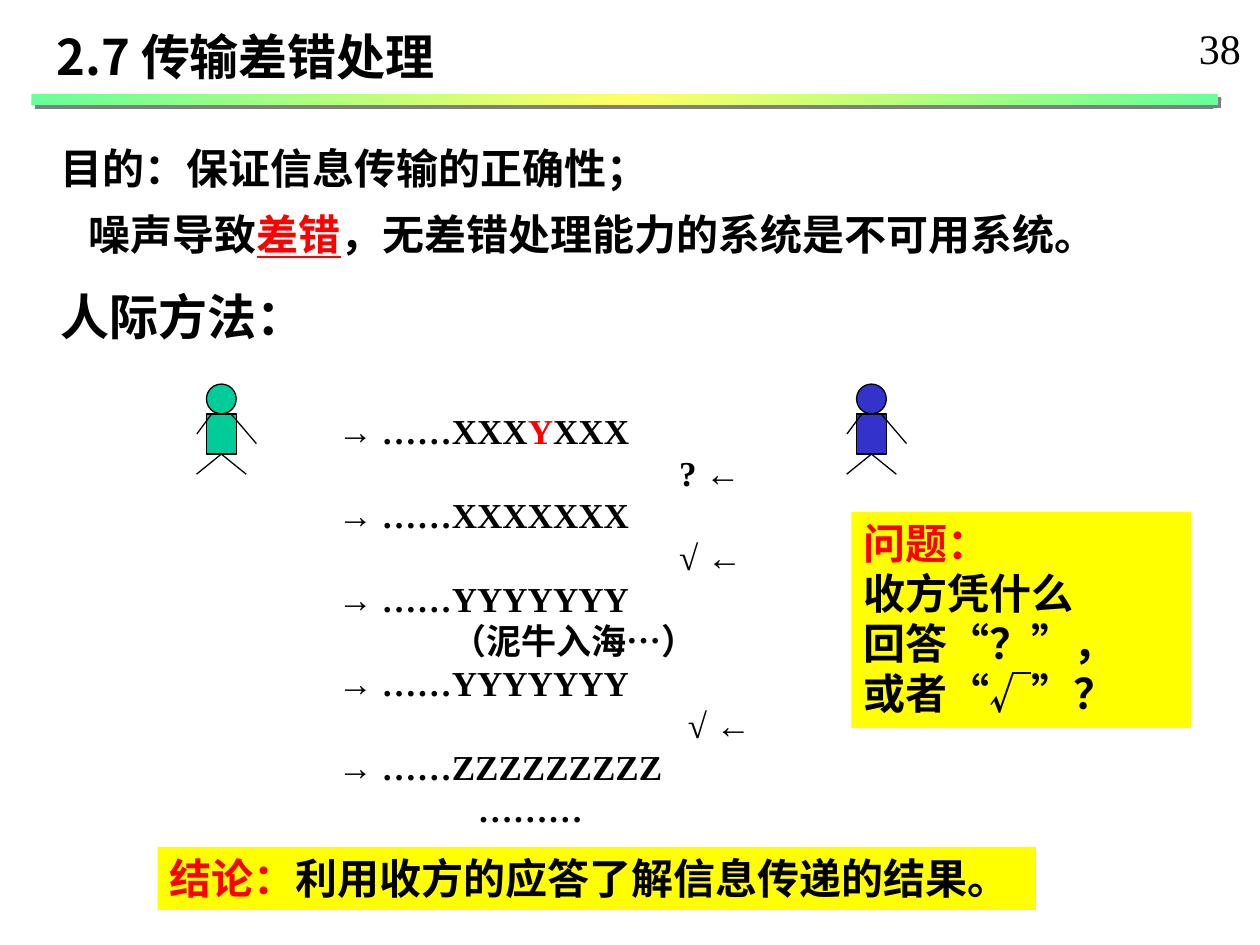
from copy import deepcopy
from dataclasses import dataclass
from typing import Optional

from lxml.etree import SubElement
from pptx import Presentation
from pptx.dml.color import RGBColor
from pptx.enum.shapes import MSO_CONNECTOR, MSO_SHAPE
from pptx.enum.text import MSO_ANCHOR, MSO_AUTO_SIZE, PP_ALIGN
from pptx.oxml.ns import qn
from pptx.util import Pt

BLACK = RGBColor(0x00, 0x00, 0x00)
RED = RGBColor(0xFF, 0x00, 0x00)
YELLOW = RGBColor(0xFF, 0xFF, 0x00)
MINT = RGBColor(0x66, 0xFF, 0x99)
LEMON = RGBColor(0xFF, 0xFF, 0x66)
TEAL = RGBColor(0x00, 0xCC, 0x99)
BLUE = RGBColor(0x33, 0x33, 0xCC)
SANS = "Noto Sans CJK SC"
SERIF = "Times New Roman"


@dataclass(frozen=True)
class Span:
    text: str
    color: Optional[RGBColor] = None
    underline: bool = False


@dataclass(frozen=True)
class Line:
    spans: tuple[Span, ...]
    size: float = 24
    indent: float = 0
    pitch: float = 28.6
    before: float = 0
    after: float = 0
    font: str = SERIF
    bold: bool = True


@dataclass(frozen=True)
class Person:
    left: float
    top: float
    color: RGBColor


def place(shape, left: float, top: float, width: float, height: float) -> None:
    shape.left, shape.top = Pt(left), Pt(top)
    shape.width, shape.height = Pt(width), Pt(height)


def write(shape, lines: list[Line], wrap: bool = True) -> None:
    frame = shape.text_frame
    frame.word_wrap = wrap
    frame.auto_size = MSO_AUTO_SIZE.NONE
    frame.vertical_anchor = MSO_ANCHOR.TOP
    for index, line in enumerate(lines):
        paragraph = frame.add_paragraph() if index else frame.paragraphs[0]
        paragraph.alignment = PP_ALIGN.LEFT
        paragraph.line_spacing = Pt(line.pitch)
        paragraph.space_before = Pt(line.before)
        paragraph.space_after = Pt(line.after)
        properties = paragraph._p.get_or_add_pPr()
        properties.set("marL", str(Pt(line.indent)))
        properties.set("indent", "0")
        SubElement(properties, qn("a:buNone"))
        font = paragraph.font
        font.name = line.font
        font.size = Pt(line.size)
        font.bold = line.bold
        font.color.rgb = BLACK
        SubElement(font._element, qn("a:ea")).set("typeface", SANS)
        for span in line.spans:
            run = paragraph.add_run()
            run.text = span.text
            if span.color is not None:
                run.font.color.rgb = span.color
            if span.underline:
                run.font.underline = True


def add_bar(slide) -> None:
    bar = slide.shapes.add_shape(MSO_SHAPE.RECTANGLE, Pt(18), Pt(54), Pt(678), Pt(6))
    bar.line.fill.background()
    bar.fill.gradient()
    bar.fill.gradient_angle = 315
    start, end = bar.fill.gradient_stops
    start.color.rgb, end.color.rgb = MINT, MINT
    start.position, end.position = 0, 1
    stops = bar._element.spPr.find(qn("a:gradFill")).find(qn("a:gsLst"))
    stops.insert(1, deepcopy(stops[0]))
    middle = bar.fill.gradient_stops[1]
    middle.position = 0.5
    middle.color.rgb = LEMON
    effects = SubElement(bar._element.spPr, qn("a:effectLst"))
    shadow = SubElement(effects, qn("a:outerShdw"), dist=str(Pt(2.8)),
                        dir="2700000", algn="ctr", rotWithShape="0")
    SubElement(shadow, qn("a:srgbClr"), val="808080")


def add_person(slide, person: Person) -> None:
    group = slide.shapes.add_group_shape()
    size, torso_height = 17, 23
    shoulder = person.top + size
    hip = shoulder + torso_height

    def add_part(kind, top: float, height: float):
        part = group.shapes.add_shape(kind, Pt(person.left), Pt(top), Pt(size), Pt(height))
        part.shadow.inherit = False
        part.fill.solid()
        part.fill.fore_color.rgb = person.color
        part.line.color.rgb = BLACK
        part.line.width = Pt(0.75)
        return part

    def add_limb(x1: float, y1: float, x2: float, y2: float):
        limb = group.shapes.add_connector(
            MSO_CONNECTOR.STRAIGHT, Pt(person.left + x1), Pt(y1), Pt(person.left + x2), Pt(y2))
        limb.line.color.rgb = BLACK
        limb.line.width = Pt(0.75)
        SubElement(limb._element.spPr, qn("a:effectLst"))
        return limb

    add_part(MSO_SHAPE.OVAL, person.top, size)
    torso = add_part(MSO_SHAPE.RECTANGLE, shoulder, torso_height)
    add_limb(14, shoulder, 28.5, shoulder + 17)
    add_limb(3, shoulder, -5.5, shoulder + 11.5)
    for reach in (14.2, -14.2):
        leg = add_limb(size / 2, hip, size / 2 + reach, hip + 11.5)
        leg.begin_connect(torso, 2)


def add_note(slide, left: float, top: float, width: float, height: float,
             lines: list[Line], wrap: bool = True) -> None:
    note = slide.shapes.add_shape(MSO_SHAPE.RECTANGLE, Pt(left), Pt(top), Pt(width), Pt(height))
    note.shadow.inherit = False
    note.fill.solid()
    note.fill.fore_color.rgb = YELLOW
    note.line.fill.background()
    write(note, lines, wrap)


def spoken(*spans: Span, indent: float = 0) -> Line:
    return Line(spans, size=20, indent=indent, pitch=24)


def main() -> None:
    deck = Presentation()
    deck.slide_width, deck.slide_height = Pt(720), Pt(540)
    slide = deck.slides.add_slide(deck.slide_layouts[1])
    add_bar(slide)

    page = slide.shapes.add_textbox(Pt(678), Pt(9.5), Pt(44.5), Pt(36))
    write(page, [Line((Span("38"),), bold=False)], wrap=False)

    title, body = slide.placeholders
    place(title, 25, 15, 278, 37.5)
    write(title, [Line((Span("2.7 传输差错处理"),), size=28, pitch=30, font=SANS)])
    place(body, 27.5, 80.5, 636, 130)
    write(body, [
        Line((Span("目的：保证信息传输的正确性；"),), pitch=26, after=7, font=SANS),
        Line((Span("噪声导致"), Span("差错", RED, True), Span("，无差错处理能力的系统是不可用系统。")),
             indent=16, pitch=26, before=5, after=7, font=SANS),
        Line((Span("人际方法："),), size=28, pitch=30, before=12, font=SANS),
    ])

    dialogue = slide.shapes.add_textbox(Pt(186), Pt(230.5), Pt(253), Pt(250))
    write(dialogue, [
        spoken(Span("→ ……XXX"), Span("Y", RED), Span("XXX")),
        spoken(Span("? ←"), indent=195),
        spoken(Span("→ ……XXXXXXX")),
        spoken(Span("√ ←"), indent=195),
        spoken(Span("→ ……YYYYYYY")),
        spoken(Span("（泥牛入海…）"), indent=65),
        spoken(Span("→ ……YYYYYYY")),
        spoken(Span("√ ←"), indent=200),
        spoken(Span("→ ……ZZZZZZZZZ")),
        spoken(Span("………"), indent=80),
    ])

    for person in (Person(118, 219.5, TEAL), Person(489.5, 219.5, BLUE)):
        add_person(slide, person)

    add_note(slide, 486.5, 292.5, 194, 123.5, [
        Line((Span("问题：", RED),)),
        Line((Span("收方凭什么"),)),
        Line((Span("回答“？”，"),)),
        Line((Span("或者“√”？"),)),
    ])
    add_note(slide, 90, 484, 502, 36, [
        Line((Span("结论：", RED), Span("利用收方的应答了解信息传递的结果。"))),
    ], wrap=False)

    deck.save("out.pptx")


if __name__ == "__main__":
    main()
